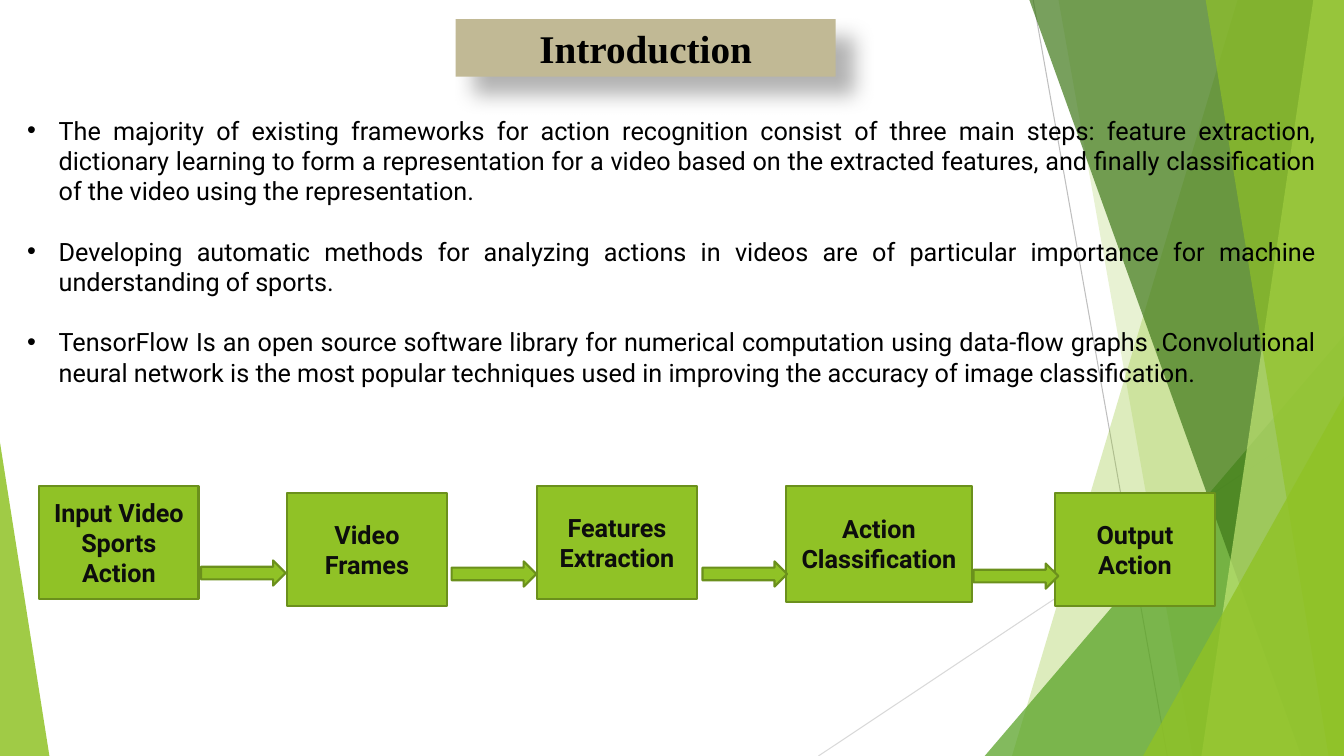
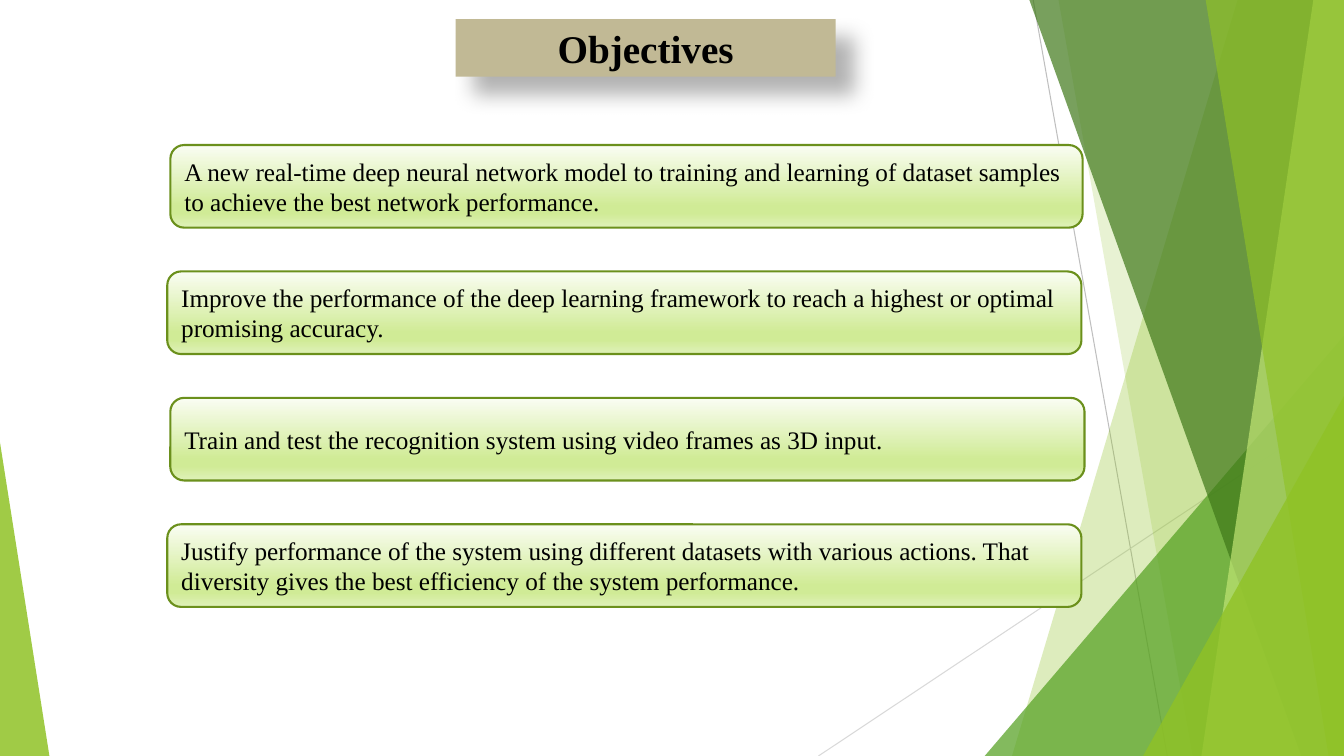
"""Build two slides on sports action recognition: introduction and objectives."""
import pptx
import pptx.dml.color
import pptx.enum.shapes
import pptx.enum.text
import pptx.oxml.ns
import pptx.util
import lxml.etree

Pt = pptx.util.Pt
qn = pptx.oxml.ns.qn
RGB = pptx.dml.color.RGBColor.from_string
MSO = pptx.enum.shapes.MSO_SHAPE
ALIGN = pptx.enum.text.PP_ALIGN
SubElement = lxml.etree.SubElement

W, H = 960, 540
C = {
    "green": "90C226", "leaf": "54A021", "forest": "3F7819", "lime": "C0E474",
    "edge": "6B901C", "sand": "C1B995", "black": "000000", "ink": "0D0D0D",
    "grey": "BFBFBF", "pale": "D9D9D9",
}
GRADIENT = [(0, "FAFDF3"), (74, "D0EB96"), (83, "D0EB96"), (100, "DFF1B9")]
TITLE = {"name": "Times New Roman", "size": Pt(28), "bold": True}
BODY = {"name": "Roboto", "size": Pt(18)}
STEP = {"name": "Roboto", "size": Pt(18), "bold": True}
GOAL = {"name": "Times New Roman", "size": Pt(18)}


def paint(sp, fill, line=None, alpha=None):
    """Set fill, outline and opacity of a shape."""
    sp.shadow.inherit = False
    sp.fill.solid()
    sp.fill.fore_color.rgb = RGB(C[fill])
    if alpha:
        clr = sp.element.spPr.find(".//" + qn("a:srgbClr"))
        SubElement(clr, qn("a:alpha")).set("val", str(alpha * 1000))
    if line:
        sp.line.color.rgb = RGB(C[line])
        sp.line.width = Pt(1.5)
    else:
        sp.line.fill.background()


def write(tf, lines, fmt, color, align):
    """Write one formatted paragraph per line and return the paragraphs."""
    for i, line in enumerate(lines):
        p = tf.add_paragraph() if i else tf.paragraphs[0]
        p.alignment = align
        r = p.add_run()
        r.text = line
        for key, value in fmt.items():
            setattr(r.font, key, value)
        r.font.color.rgb = RGB(C[color])
    return tf.paragraphs


prs = pptx.Presentation()
prs.slide_width, prs.slide_height = Pt(W), Pt(H)
intro = prs.slides.add_slide(prs.slide_layouts[1])
goals = prs.slides.add_slide(prs.slide_layouts[5])

decor = []
for x1, y1, x2, y2, color in [(738, 0, 833.8, H, "grey"), (W, 290.2, 584.6, H, "pale")]:
    ln = intro.shapes.add_connector(
        pptx.enum.shapes.MSO_CONNECTOR.STRAIGHT, Pt(x1), Pt(y1), Pt(x2), Pt(y2))
    ln.line.color.rgb = RGB(C[color])
    ln.line.width = Pt(0.75)
    SubElement(ln.element.spPr, qn("a:effectLst"))
    decor.append(ln.element)

facets = [
    ("band", (884.2, 722.9), "green", 30),
    ("band", (756, 851.8), "green", 20),
    ("triangle", (703.4, 239.8, 256.6, 300.2, 1), "leaf", 72),
    ("band", (735.1, 929.5), "forest", 70),
    ("band", (938.2, 858.2), "lime", 70),
    ("band", (861.1, 949), "green", 65),
    ("triangle", (816.5, 283, 143.5, 257, 1), "green", 80),
    ("triangle", (0, 316.1, 35.3, 223.9, 0), "green", 85),
]
for kind, geometry, color, alpha in facets:
    if kind == "band":
        top, bottom = geometry
        fb = intro.shapes.build_freeform(Pt(top), Pt(-0.6))
        fb.add_line_segments([(Pt(W), Pt(-0.6)), (Pt(W), Pt(H)), (Pt(bottom), Pt(H))])
        sp = fb.convert_to_shape()
    else:
        *box, tip = geometry
        sp = intro.shapes.add_shape(MSO.ISOSCELES_TRIANGLE, *map(Pt, box))
        sp.adjustments[0] = tip
    paint(sp, color, alpha=alpha)
    decor.append(sp.element)

master_tree = prs.slide_master.shapes.element
for i, el in enumerate(decor):
    el[0][0].set("id", str(20 + i))
    master_tree.insert(2 + i, el)

for s, heading in [(intro, "Introduction"), (goals, "Objectives")]:
    sp = s.shapes.title
    sp.left, sp.top, sp.width, sp.height = map(Pt, (325.5, 13.7, 271.4, 41))
    paint(sp, "sand")
    shadow = SubElement(sp.element.spPr.find(qn("a:effectLst")), qn("a:outerShdw"))
    for key, value in {"blurRad": Pt(15), "dist": Pt(18), "dir": 45 * 60000,
                       "algn": "tl", "rotWithShape": 0}.items():
        shadow.set(key, str(value))
    clr = SubElement(shadow, qn("a:srgbClr"), val=C["black"])
    SubElement(clr, qn("a:alpha"), val="30000")
    tf = sp.text_frame
    tf.auto_size = pptx.enum.text.MSO_AUTO_SIZE.NONE
    write(tf, [heading], TITLE, "black", ALIGN.CENTER)

sp = intro.placeholders[1]
sp.left, sp.top, sp.width, sp.height = map(Pt, (12.2, 78.5, 935.3, 290.9))
tf = sp.text_frame
tf.auto_size = pptx.enum.text.MSO_AUTO_SIZE.NONE
points = [
    "The majority of existing frameworks for action recognition consist of three main steps: "
    "feature extraction, dictionary learning to form a representation for a video based on the "
    "extracted features, and finally classification of the video using the representation.",
    "Developing automatic methods for analyzing actions in videos are of particular importance "
    "for machine understanding of sports.",
    "TensorFlow Is an open source software library for numerical computation using data-flow "
    "graphs .Convolutional neural network is the most popular techniques used in improving the "
    "accuracy of image classification.",
]
for p in write(tf, points, BODY, "black", ALIGN.JUSTIFY):
    p.space_before, p.space_after = Pt(0), Pt(21.6)
    pPr = p._p.get_or_add_pPr()
    pPr.set("marL", str(Pt(22.5)))
    pPr.set("indent", str(Pt(-22.5)))

steps = [
    ("Input Video Sports Action", 28, 347, 113.8, 80.6),
    ("Video Frames", 205.2, 352, 113.8, 80.6),
    ("Features Extraction", 383.8, 347, 113.8, 80.6),
    ("Action Classification", 561.6, 347, 132.5, 82.8),
    ("Output Action", 753.8, 352, 113.8, 80.6),
]
for label, *box in steps:
    sp = intro.shapes.add_shape(MSO.RECTANGLE, *map(Pt, box))
    paint(sp, "green", "edge")
    write(sp.text_frame, [label], STEP, "ink", ALIGN.CENTER)

for x, y in [(143.6, 400.3), (322.6, 401), (501.8, 401), (695.5, 402.5)]:
    sp = intro.shapes.add_shape(MSO.RIGHT_ARROW, Pt(x), Pt(y), Pt(60.5), Pt(18))
    paint(sp, "green", "edge")

objectives = [
    (121.7, 651.6, ["A new real-time deep neural network model to training and learning of "
                    "dataset samples to achieve the best network performance."]),
    (119.5, 653, ["Improve the performance of the deep learning framework to reach a highest "
                  "or optimal", "promising accuracy."]),
    (121.7, 653, ["Train and test the recognition system using video frames as 3D input."]),
    (119.5, 653, ["Justify performance of the system using different datasets with various "
                  "actions. That diversity gives the best efficiency of the system performance."]),
]
for i, (x, width, lines) in enumerate(objectives):
    sp = goals.shapes.add_shape(
        MSO.ROUNDED_RECTANGLE, Pt(x), Pt(103.6 + 90.3 * i), Pt(width), Pt(59))
    paint(sp, "green", "edge")
    sp.fill.gradient()
    sp.fill.gradient_angle = 270
    stops = sp.element.spPr.find(".//" + qn("a:gsLst"))
    for gs in list(stops):
        stops.remove(gs)
    for pos, color in GRADIENT:
        gs = SubElement(stops, qn("a:gs"), pos=str(pos * 1000))
        SubElement(gs, qn("a:srgbClr"), val=color)
    write(sp.text_frame, lines, GOAL, "black", ALIGN.LEFT)

prs.save("out.pptx")
